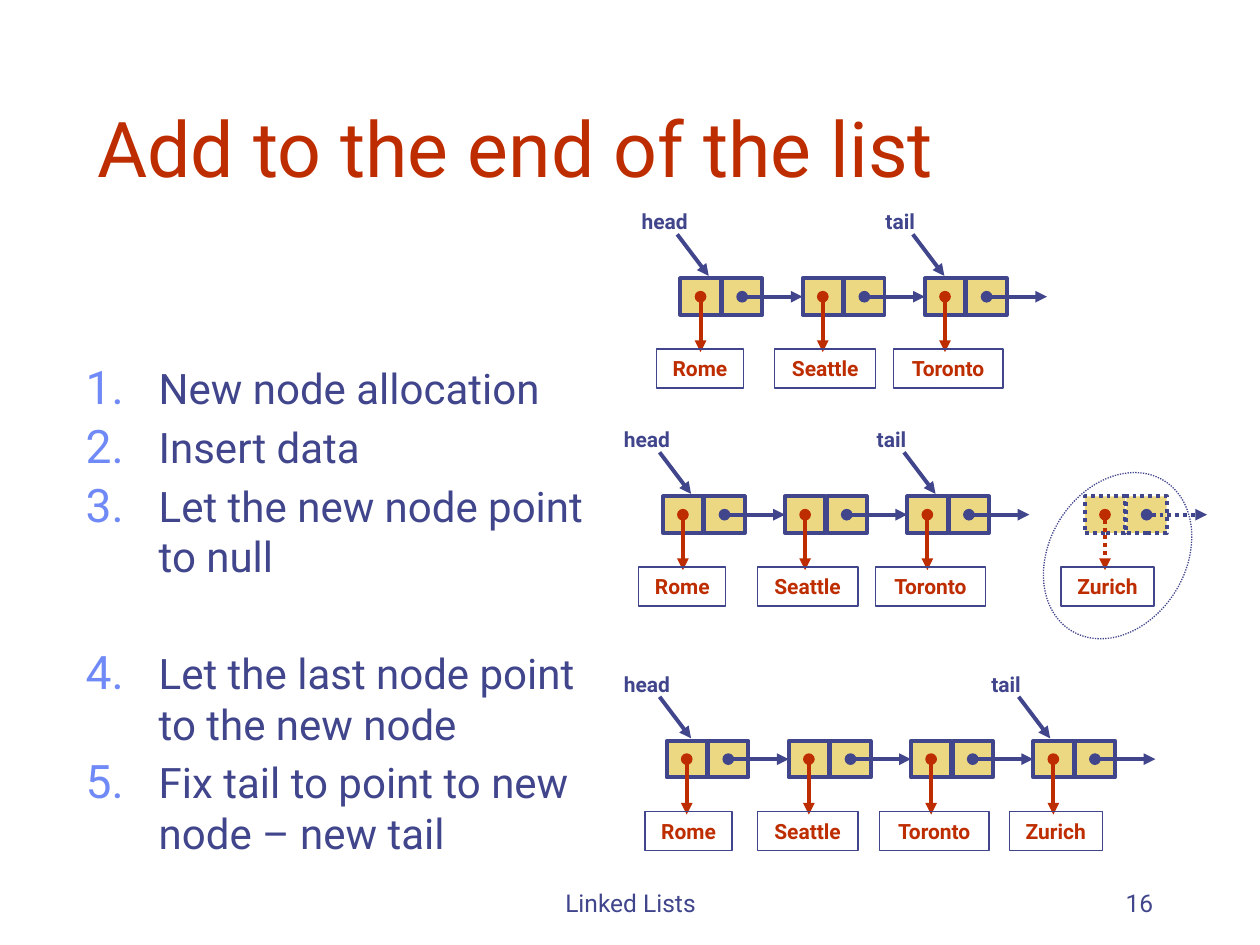
from lxml import etree
from pptx import Presentation
from pptx import util as u
from pptx.dml.color import RGBColor
from pptx.enum import dml, shapes, text
from pptx.oxml.ns import qn

FONT = "Roboto"
NAVY, RED, GOLD, NUMBER = "40458C", "BE2D00", "ECD882", "6F89F7"
LEFT, CENTER, RIGHT = text.PP_ALIGN.LEFT, text.PP_ALIGN.CENTER, text.PP_ALIGN.RIGHT
BOTTOM = text.MSO_ANCHOR.BOTTOM

# Node geometry in inches
CELL_W, CELL_H, CELL_STEP, PITCH = 0.32, 0.29, 0.33, 0.97
LABEL_W = {"head": 0.61, "tail": 0.47}
CITY_W = {"Rome": 0.69, "Seattle": 0.8, "Toronto": 0.87, "Zurich": 0.74}


def color(value):
    return RGBColor.from_string(value)


def box(x, y, w, h):
    return [u.Inches(v) for v in (x, y, w, h)]


def write(p, words, size=12, fill=NAVY, bold=False, align=LEFT, before=0):
    p.alignment = align
    p.space_before = u.Pt(before)
    r = p.add_run()
    r.text = words
    r.font.name, r.font.size, r.font.bold = FONT, u.Pt(size), bold
    r.font.color.rgb = color(fill)


def add_xml(parent, tag, **attributes):
    return etree.SubElement(parent, qn(tag), **attributes)


class Slide:
    """Holds the slide and the group that new diagram parts go into."""

    def __init__(self, prs):
        self.s = prs.slides.add_slide(prs.slide_layouts[1])
        self.target = self.s.shapes

    def start_group(self):
        self.target = self.s.shapes.add_group_shape().shapes

    def place(self, sp, at):
        sp.left, sp.top, sp.width, sp.height = box(*at)
        sp.text_frame.auto_size = text.MSO_AUTO_SIZE.NONE
        return sp.text_frame

    def title(self, words, at):
        tf = self.place(self.s.shapes.title, at)
        tf.vertical_anchor = BOTTOM
        write(tf.paragraphs[0], words, size=44, fill=RED)

    def steps(self, items, at):
        tf = self.place(self.s.placeholders[1], at)
        for i, (words, before) in enumerate(items):
            p = tf.paragraphs[0] if i == 0 else tf.add_paragraph()
            write(p, words, size=24, before=before)
            pPr = p._p.get_or_add_pPr()
            indent = u.Inches(0.58)
            pPr.set("marL", str(indent))
            pPr.set("indent", str(-indent))
            add_xml(add_xml(pPr, "a:buClr"), "a:srgbClr", val=NUMBER)
            add_xml(pPr, "a:buSzPct", val="110000")
            add_xml(pPr, "a:buFont", typeface=FONT)
            add_xml(pPr, "a:buAutoNum", type="arabicPeriod")

    def footer(self, words, at, align):
        tf = self.s.shapes.add_textbox(*box(*at)).text_frame
        tf.word_wrap, tf.vertical_anchor = True, BOTTOM
        write(tf.paragraphs[0], words, size=14, align=align)

    def stroke(self, line, stroke, width, dotted):
        line.color.rgb, line.width = color(stroke), u.Pt(width)
        if dotted:
            line.dash_style = dml.MSO_LINE.ROUND_DOT

    def shape(self, kind, at, fill=None, width=2.25, dotted=False):
        sp = self.target.add_shape(kind, *box(*at))
        sp.shadow.inherit = False
        if fill:
            sp.fill.solid()
            sp.fill.fore_color.rgb = color(fill)
        else:
            sp.fill.background()
        self.stroke(sp.line, NAVY, width, dotted)
        return sp

    def tag(self, sp, words, fill):
        tf = sp.text_frame
        tf.word_wrap = False
        tf.auto_size = text.MSO_AUTO_SIZE.SHAPE_TO_FIT_TEXT
        write(tf.paragraphs[0], words, fill=fill, bold=True, align=CENTER)

    def arrow(self, x1, y1, x2, y2, stroke=NAVY, dot=True, dotted=False):
        c = self.target.add_connector(shapes.MSO_CONNECTOR.STRAIGHT, *box(x1, y1, x2, y2))
        self.stroke(c.line, stroke, 2.25, dotted)
        spPr = c.element.spPr
        ln = spPr.find(qn("a:ln"))
        if dot:
            add_xml(ln, "a:headEnd", type="oval")
        add_xml(ln, "a:tailEnd", type="triangle")
        add_xml(spPr, "a:effectLst")

    def node(self, x, y, city, city_x, dotted=False):
        rect = shapes.MSO_SHAPE.RECTANGLE
        for left in (x, x + CELL_STEP):
            self.shape(rect, (left, y, CELL_W, CELL_H), GOLD, dotted=dotted)
        mid = y + CELL_H / 2
        self.arrow(x + 0.49, mid, x + PITCH, mid, dotted=dotted)
        self.arrow(x + 0.16, mid, x + 0.16, mid + 0.44, RED, dotted=dotted)
        sp = self.shape(rect, (city_x, y + 0.56, CITY_W[city], 0.31), width=0.75)
        self.tag(sp, city, RED)

    def pointer(self, words, x, y):
        width = LABEL_W[words]
        self.tag(self.target.add_textbox(*box(x, y, width, 0.3)), words, NAVY)
        start = x + width / 2 + 0.1
        self.arrow(start, y + 0.25, start + 0.25, y + 0.58, dot=False)

    def linked_list(self, x, y, cities, head_x, tail_x):
        self.start_group()
        for i, (city, city_x) in enumerate(cities):
            self.node(x + i * PITCH, y, city, city_x)
        self.pointer("head", head_x, y - 0.6)
        self.pointer("tail", tail_x, y - 0.6)


def main():
    prs = Presentation()
    prs.slide_width, prs.slide_height = u.Inches(10), u.Inches(7.5)
    slide = Slide(prs)

    # Title, steps and footer
    slide.title("Add to the end of the list", (0.67, 0.33, 8.5, 1.25))
    slide.steps([
        ("New node allocation", 4.8),
        ("Insert data", 4.8),
        ("Let the new node point to null", 4.8),
        ("Let the last node point to the new node", 38),
        ("Fix tail to point to new node – new tail", 4.8),
    ], (0.58, 2.83, 4.33, 4.08))
    slide.footer("Linked Lists", (3.42, 6.83, 3.17, 0.5), CENTER)
    slide.footer("16", (7.17, 6.83, 2.08, 0.5), RIGHT)

    # The list before the change
    slide.linked_list(5.4, 2.21, [("Rome", 5.21), ("Seattle", 6.15), ("Toronto", 7.09)],
                      4.97, 6.91)

    # The new node, still detached
    slide.linked_list(5.26, 3.94, [("Rome", 5.07), ("Seattle", 6.01), ("Toronto", 6.95)],
                      4.83, 6.84)
    slide.node(8.61, 3.94, "Zurich", 8.42, dotted=True)
    ring = slide.shape(shapes.MSO_SHAPE.OVAL, (8.33, 3.71, 1.08, 1.4), width=0.75, dotted=True)
    ring.rotation = 31.8

    # The new node linked in as the tail
    slide.linked_list(5.29, 5.88, [("Rome", 5.12), ("Seattle", 6.01), ("Toronto", 6.98),
                                   ("Zurich", 8.01)], 4.83, 7.75)

    prs.save("out.pptx")


if __name__ == "__main__":
    main()
